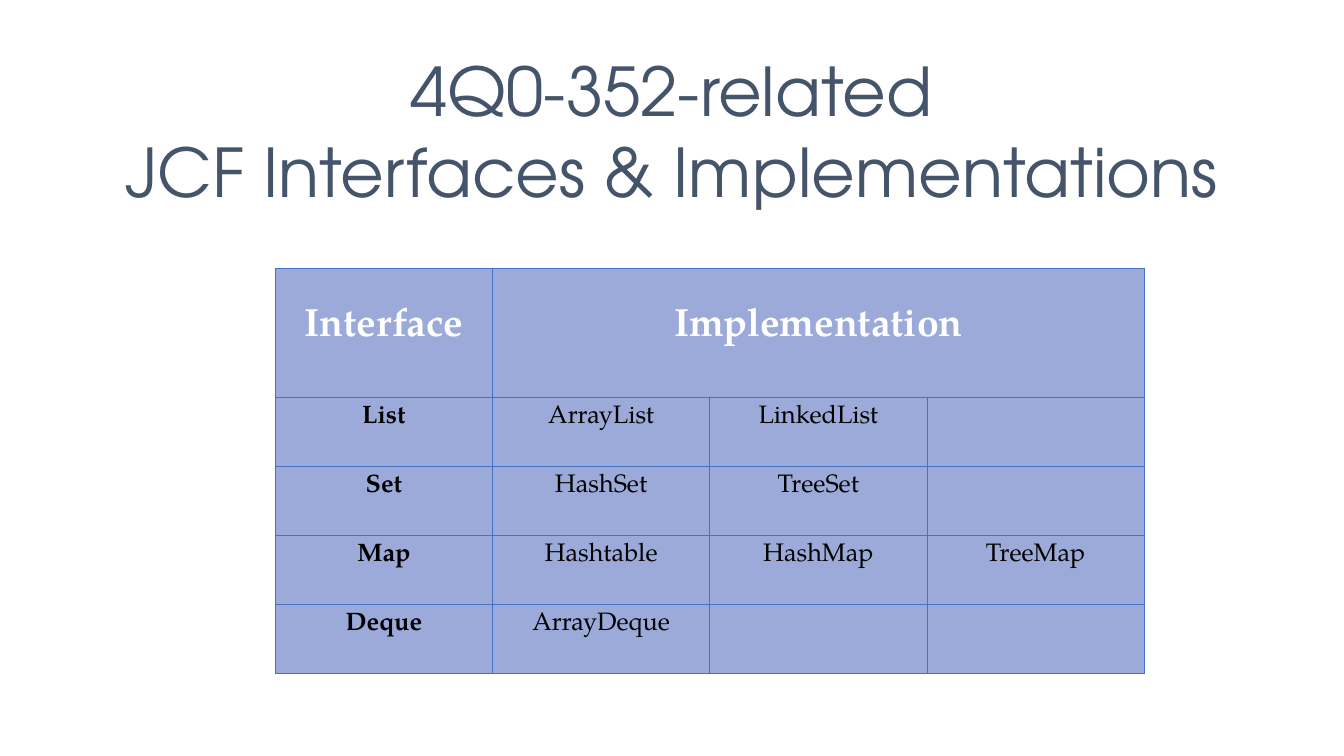
from pptx import Presentation, util as u
from pptx.dml import color
from pptx.enum import text
from pptx.oxml import parse_xml
from pptx.oxml.ns import nsdecls

TITLE = "4Q0-352-related\vJCF Interfaces & Implementations"
HEADINGS = ["Interface", "Implementation"]
IMPLEMENTATIONS = {
    "List": ["ArrayList", "LinkedList"],
    "Set": ["HashSet", "TreeSet"],
    "Map": ["Hashtable", "HashMap", "TreeMap"],
    "Deque": ["ArrayDeque"],
}
THEME = {
    "title": ("TeX Gyre Adventor", 48, "44546A"),
    "heading": ("TeX Gyre Pagella", 28, "FFFFFF"),
    "body": ("TeX Gyre Pagella", 18, "000000"),
    "fill": "9BAAD9",
    "border": "4472C4",
    "border_width": 0.5,
}
TITLE_BOX = (0.66, 1.19, 12, 0.95)
TABLE_LEFT, TABLE_TOP = 2.73, 2.66
COLUMN_WIDTH, HEADING_HEIGHT, ROW_HEIGHT = 2.155, 1.28, 0.685
MARGIN, HEADING_BOTTOM = 0.08, 0.18


def write(paragraph, words, style, bold=False):
    name, size, rgb = THEME[style]
    paragraph.text = words
    paragraph.alignment = text.PP_ALIGN.CENTER
    paragraph.font.name = name
    paragraph.font.size = u.Pt(size)
    paragraph.font.bold = bold
    paragraph.font.color.rgb = color.RGBColor.from_string(rgb)


def style_cell(cell):
    cell.fill.solid()
    cell.fill.fore_color.rgb = color.RGBColor.from_string(THEME["fill"])
    cell.margin_left = cell.margin_right = u.Inches(MARGIN)
    cell.margin_top = cell.margin_bottom = u.Inches(MARGIN)
    properties = cell._tc.get_or_add_tcPr()
    for index, side in enumerate(("lnL", "lnR", "lnT", "lnB")):
        properties.insert(index, parse_xml(
            f'<a:{side} {nsdecls("a")} w="{u.Pt(THEME["border_width"])}">'
            f'<a:solidFill><a:srgbClr val="{THEME["border"]}"/></a:solidFill></a:{side}>'))


def add_title(slide):
    frame = slide.shapes.add_textbox(*map(u.Inches, TITLE_BOX)).text_frame
    frame.word_wrap = True
    frame.vertical_anchor = text.MSO_ANCHOR.BOTTOM
    write(frame.paragraphs[0], TITLE, "title")


def add_collections_table(slide):
    row_count = len(IMPLEMENTATIONS) + 1
    column_count = max(map(len, IMPLEMENTATIONS.values())) + 1
    height = HEADING_HEIGHT + ROW_HEIGHT * len(IMPLEMENTATIONS)
    table = slide.shapes.add_table(
        row_count, column_count, u.Inches(TABLE_LEFT), u.Inches(TABLE_TOP),
        u.Inches(COLUMN_WIDTH * column_count), u.Inches(height)).table
    table.horz_banding = False
    for column in table.columns:
        column.width = u.Inches(COLUMN_WIDTH)
    for index, row in enumerate(table.rows):
        row.height = u.Inches(ROW_HEIGHT if index else HEADING_HEIGHT)
        for cell in row.cells:
            style_cell(cell)
    table.cell(0, 1).merge(table.cell(0, column_count - 1))
    for index, heading in enumerate(HEADINGS):
        cell = table.cell(0, index)
        cell.vertical_anchor = text.MSO_ANCHOR.MIDDLE
        cell.margin_bottom = u.Inches(HEADING_BOTTOM)
        write(cell.text_frame.paragraphs[0], heading, "heading", bold=True)
    for row, (interface, classes) in enumerate(IMPLEMENTATIONS.items(), 1):
        for column, words in enumerate([interface, *classes]):
            paragraph = table.cell(row, column).text_frame.paragraphs[0]
            write(paragraph, words, "body", bold=column == 0)


def main():
    presentation = Presentation()
    presentation.slide_width = u.Inches(13.33)
    presentation.slide_height = u.Inches(7.5)
    slide = presentation.slides.add_slide(presentation.slide_layouts[6])
    add_title(slide)
    add_collections_table(slide)
    presentation.save("out.pptx")


if __name__ == "__main__":
    main()
